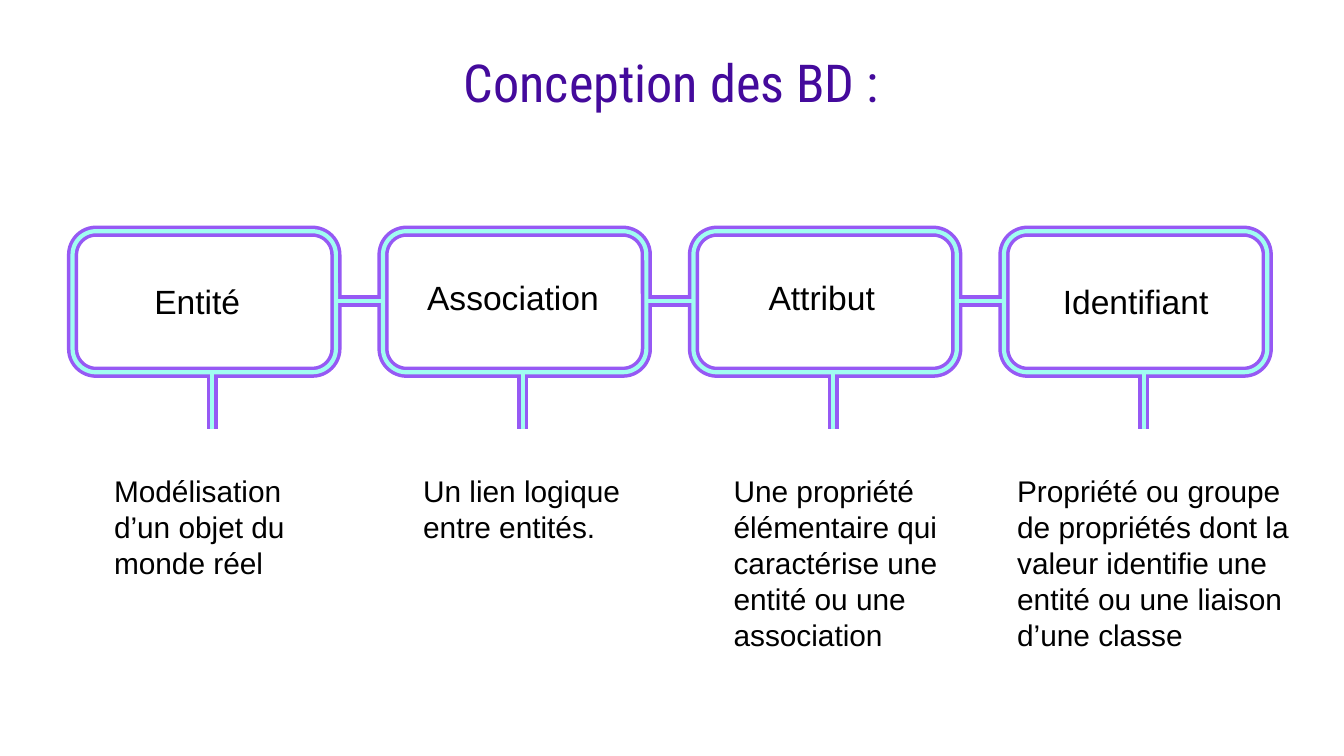
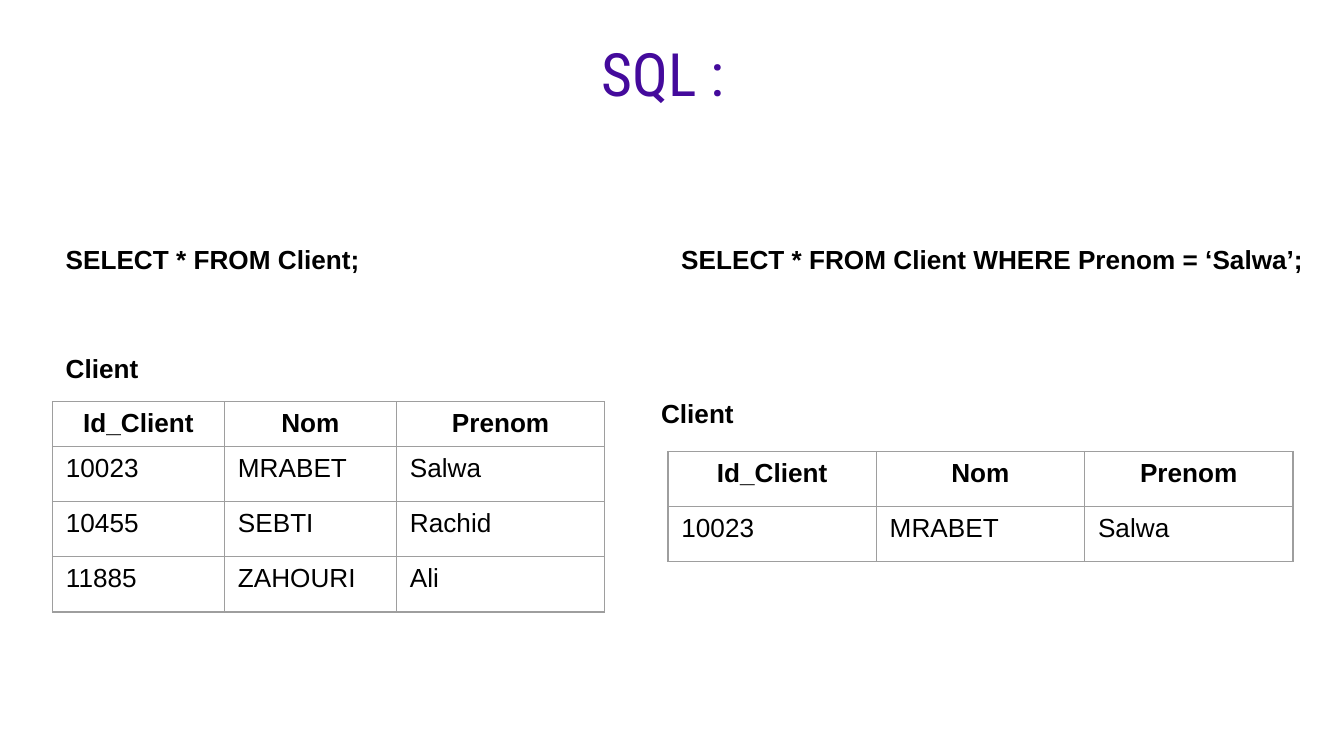
import pptx
import pptx.util
import pptx.dml.color
import pptx.enum.shapes
import pptx.enum.text
import pptx.oxml
import pptx.oxml.ns

Inches = pptx.util.Inches
Pt = pptx.util.Pt
ALIGN = pptx.enum.text.PP_ALIGN
ANCHOR = pptx.enum.text.MSO_ANCHOR
AUTO = pptx.enum.text.MSO_AUTO_SIZE
SHAPE = pptx.enum.shapes.MSO_SHAPE
STRAIGHT = pptx.enum.shapes.MSO_CONNECTOR.STRAIGHT
COLORS = {
    name: pptx.dml.color.RGBColor.from_string(value)
    for name, value in {
        "title": "440A9C",
        "text": "000000",
        "white": "FFFFFF",
        "violet": "9659F4",
        "mint": "A0FDF1",
    }.items()
}
GRID_COLOR = "9E9E9E"
STROKES = [("violet", 6), ("mint", 2.25)]
TITLE_FRAME = {
    "word_wrap": True,
    "auto_size": AUTO.NONE,
    "vertical_anchor": ANCHOR.MIDDLE,
    "margin_left": Inches(0.1),
    "margin_right": Inches(0.1),
    "margin_top": Inches(0.1),
    "margin_bottom": Inches(0.1),
}
TEXT_FRAME = {"word_wrap": True, "auto_size": AUTO.SHAPE_TO_FIT_TEXT}


def write(frame, text, size, bold=False, align=ALIGN.LEFT, font="Arial", color="text"):
    para = frame.paragraphs[0]
    para.alignment = align
    span = para.add_run()
    span.text = text
    for key, value in {"name": font, "size": Pt(size), "bold": bold}.items():
        setattr(span.font, key, value)
    span.font.color.rgb = COLORS[color]


def add_text(page, place, text, size, bold=False):
    box = page.shapes.add_textbox(*map(Inches, place))
    for key, value in TEXT_FRAME.items():
        setattr(box.text_frame, key, value)
    write(box.text_frame, text, size, bold)


deck = pptx.Presentation()
deck.slide_width = Inches(10)
deck.slide_height = Inches(10) * 9 // 16

pages = []
for heading, left, top, size in [
    ("Conception des BD :", 0.56, 0.33, 28),
    ("SQL :", 0.5, 0.26, 32),
]:
    page = deck.slides.add_slide(deck.slide_layouts[5])
    title = page.shapes.title
    for key, value in {"left": left, "top": top, "width": 8.87, "height": 0.56}.items():
        setattr(title, key, Inches(value))
    for key, value in TITLE_FRAME.items():
        setattr(title.text_frame, key, value)
    write(title.text_frame, heading, size, False, ALIGN.CENTER, "Roboto Condensed", "title")
    pages.append(page)
concept_page, sql_page = pages

BOX_LEFT, BOX_TOP, BOX_WIDTH, BOX_HEIGHT = 0.54, 1.72, 1.96, 1.05
BOX_STEP = 2.31
box_lefts = [BOX_LEFT + BOX_STEP * index for index in range(4)]
box_bottom = BOX_TOP + BOX_HEIGHT
links = [(left + 1.04, box_bottom, left + 1.04, box_bottom + 0.42) for left in box_lefts]
links += [(left, 2.24, left - BOX_STEP + BOX_WIDTH, 2.24) for left in box_lefts[1:]]

for stroke, width in STROKES:
    for ends in links:
        link = concept_page.shapes.add_connector(STRAIGHT, *map(Inches, ends))
        link.line.color.rgb = COLORS[stroke]
        link.line.width = Pt(width)
        link._element.spPr.append(pptx.oxml.parse_xml(
            f"<a:effectLst {pptx.oxml.ns.nsdecls('a')}/>"))
    if stroke == "mint":
        continue
    for left in box_lefts:
        group = concept_page.shapes.add_group_shape()
        for outline, thickness in STROKES:
            box = group.shapes.add_shape(
                SHAPE.ROUNDED_RECTANGLE,
                *map(Inches, (left, BOX_TOP, BOX_WIDTH, BOX_HEIGHT)))
            box.adjustments[0] = 0.167
            box.shadow.inherit = False
            box.line.color.rgb = COLORS[outline]
            box.line.width = Pt(thickness)
            if outline == "violet":
                box.fill.solid()
                box.fill.fore_color.rgb = COLORS["white"]
            else:
                box.fill.background()

concepts = [
    ("Entité", 1.05, 2.04,
     "Modélisation d’un objet du monde réel", 0.75, 1.82, 0.91),
    ("Association", 3.08, 2.01,
     "Un lien logique entre entités.", 3.05, 1.82, 0.64),
    ("Attribut", 5.62, 2.01,
     "Une propriété élémentaire qui caractérise une entité ou une association",
     5.36, 1.82, 1.45),
    ("Identifiant", 7.81, 2.04,
     "Propriété ou groupe de propriétés dont la valeur identifie une entité ou une liaison d’une classe",
     7.47, 2.27, 1.45),
]
for name, name_left, name_top, meaning, left, width, height in concepts:
    add_text(concept_page, (name_left, name_top, 1.5, 0.4), name, 18)
    add_text(concept_page, (left, 3.47, width, height), meaning, 16)

for text, place in [
    ("SELECT * FROM Client;", (0.39, 1.76, 4.58, 0.34)),
    ("SELECT * FROM Client WHERE Prenom = ‘Salwa’;", (4.97, 1.76, 4.92, 0.34)),
    ("Client", (0.39, 2.57, 2.49, 0.34)),
    ("Client", (4.82, 2.91, 2.49, 0.34)),
]:
    add_text(sql_page, place, text, 14, True)

header = ("Id_Client", "Nom", "Prenom")
clients = [
    ("10023", "MRABET", "Salwa"),
    ("10455", "SEBTI", "Rachid"),
    ("11885", "ZAHOURI", "Ali"),
]
for left, top, widths, table_height, header_height, records in [
    (0.39, 2.99, (1.28, 1.28, 1.55), 1.55, 0, clients),
    (4.97, 3.36, (1.55, 1.55, 1.55), 0.81, 0.41, clients[:1]),
]:
    rows = [header, *records]
    heights = [header_height] + [0.41] * len(records)
    place = (left, top, sum(widths), table_height)
    holder = sql_page.shapes.add_table(len(rows), len(header), *map(Inches, place))
    table = holder.table
    for column, width in zip(table.columns, widths):
        column.width = Inches(width)
    for row_index, (row, height) in enumerate(zip(rows, heights)):
        table.rows[row_index].height = Inches(height)
        is_header = row_index == 0
        for column_index, text in enumerate(row):
            cell = table.cell(row_index, column_index)
            properties = cell._tc.get_or_add_tcPr()
            for side in "LRTB":
                properties.append(pptx.oxml.parse_xml(
                    f"<a:ln{side} {pptx.oxml.ns.nsdecls('a')} w='{Pt(0.75)}'>"
                    f"<a:solidFill><a:srgbClr val='{GRID_COLOR}'/></a:solidFill></a:ln{side}>"))
            cell.fill.background()
            write(cell.text_frame, text, 14, is_header,
                  ALIGN.CENTER if is_header else ALIGN.LEFT)
    holder.height = Inches(table_height)

deck.save("out.pptx")
